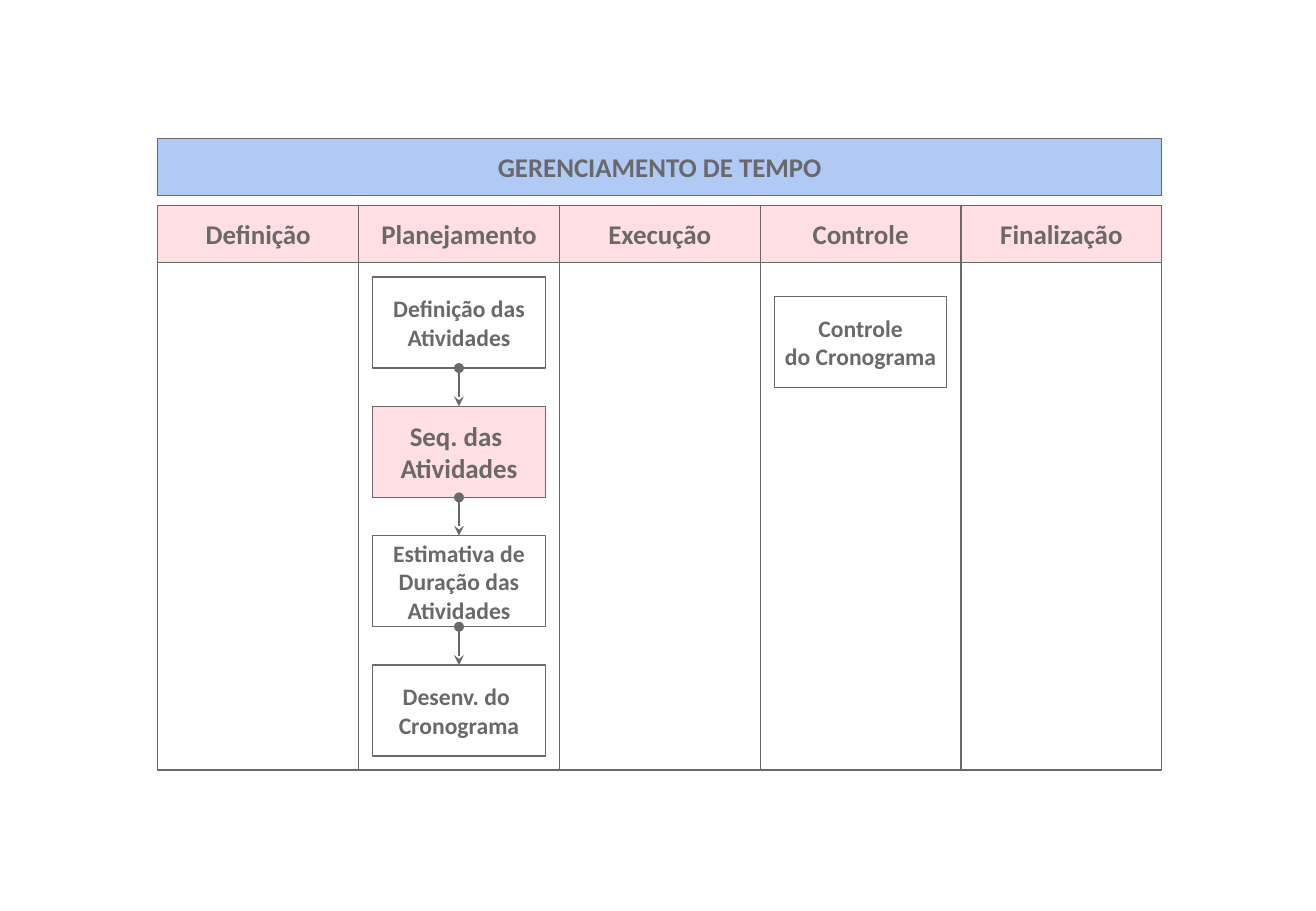
from lxml.etree import SubElement
from pptx import Presentation
from pptx.dml.color import RGBColor
from pptx.enum.shapes import MSO_CONNECTOR, MSO_SHAPE
from pptx.enum.text import MSO_ANCHOR, PP_ALIGN
from pptx.oxml.ns import qn
from pptx.util import Inches, Pt

THEME = {
    "font": "Calibri", "ink": "696969", "white": "FFFFFF",
    "pink": "FFC0CB", "blue": "6495ED", "tint": 50000,
    "large": 16, "small": 14, "hair": 0, "link": 1.42,
}

deck = Presentation()
deck.slide_width, deck.slide_height = Inches(10.84), Inches(7.5)
slide = deck.slides.add_slide(deck.slide_layouts[6])
ink = RGBColor.from_string(THEME["ink"])

# Grid: five equal columns, boxes centred in them
left, total = 1.3, 8.27
phases = ["Definição", "Planejamento", "Execução", "Controle", "Finalização"]
col = total / len(phases)
bar, top, tall = 0.47, 1.69, 4.65
wide, high, step = 1.42, 0.75, 1.065
pad = (col - wide) / 2


def add_box(text, x, y, w, h, fill="white", size="large", tint=False):
    box = slide.shapes.add_shape(
        MSO_SHAPE.RECTANGLE, Inches(x), Inches(y), Inches(w), Inches(h))
    box.shadow.inherit = False
    box.fill.solid()
    box.fill.fore_color.rgb = RGBColor.from_string(THEME[fill])
    if tint:
        shade = box.fill._xPr.find(qn("a:solidFill"))[0]
        SubElement(shade, qn("a:alpha"), val=str(THEME["tint"]))
    box.line.color.rgb = ink
    box.line.width = Pt(THEME["hair"])
    frame = box.text_frame
    frame.word_wrap = False
    frame.vertical_anchor = MSO_ANCHOR.MIDDLE
    frame.text = text
    for para in frame.paragraphs:
        para.alignment = PP_ALIGN.CENTER
        for run in para.runs:
            run.font.name = THEME["font"]
            run.font.size = Pt(THEME[size])
            run.font.bold = True
            run.font.color.rgb = ink
    return box


# Title bar
add_box("GERENCIAMENTO DE TEMPO", left, 1.14, total, bar, fill="blue", tint=True)

# Phase columns with their heads
for i, phase in enumerate(phases):
    x = left + i * col
    add_box("", x, top, col, tall)
    add_box(phase, x, top, col, bar, fill="pink", tint=True)

# Planning steps
plain = {"size": "small"}
steps = [
    ("Definição das\nAtividades", plain),
    ("Seq. das \nAtividades", {"fill": "pink", "tint": True}),
    ("Estimativa de\vDuração das\vAtividades", plain),
    ("Desenv. do \vCronograma", plain),
]
boxes = [add_box(text, left + col + pad, 2.28 + i * step, wide, high, **look)
         for i, (text, look) in enumerate(steps)]

# Control step
add_box("Controle\vdo Cronograma", left + 3 * col + pad, 2.44, wide, high, **plain)

# Arrows from each planning step to the next
for start, end in zip(boxes, boxes[1:]):
    link = slide.shapes.add_connector(MSO_CONNECTOR.STRAIGHT, 0, 0, 0, 0)
    link.begin_connect(start, 2)
    link.end_connect(end, 0)
    link.line.color.rgb = ink
    link.line.width = Pt(THEME["link"])
    line = link.line._get_or_add_ln()
    SubElement(line, qn("a:headEnd"), type="oval")
    SubElement(line, qn("a:tailEnd"), type="stealth")
    SubElement(link._element.spPr, qn("a:effectLst"))

deck.save("out.pptx")
